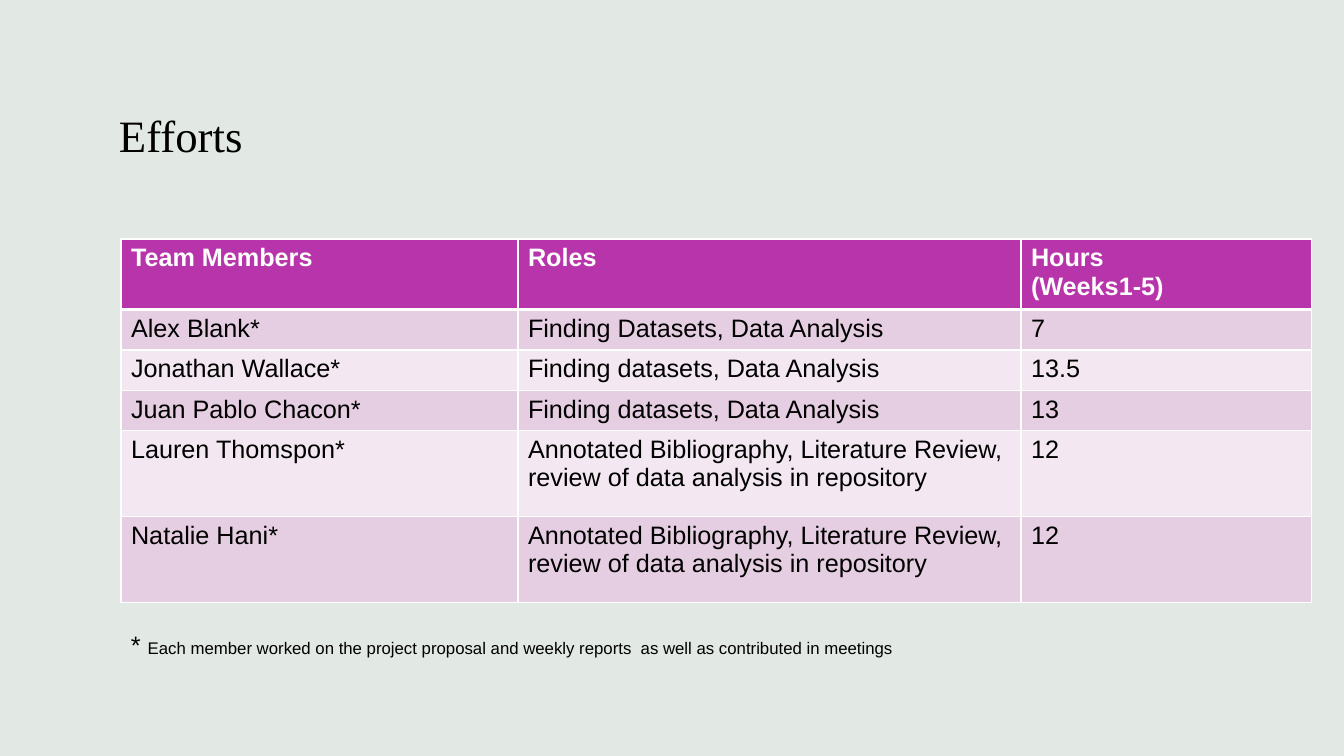
from dataclasses import dataclass

from lxml.etree import SubElement
from pptx import Presentation
from pptx.dml.color import RGBColor
from pptx.enum.text import MSO_ANCHOR as Anchor
from pptx.oxml.ns import qn
from pptx.util import Emu, Pt

PX = 9071.43
BLACK, WHITE = "000000", "FFFFFF"
HEADER_FILL, BANDS = "B834AA", ("E6CEE2", "F3E8F1")


@dataclass
class Run:
    text: str
    size: int = 18
    font: str = "Arial"
    color: str = BLACK
    bold: bool = False


@dataclass
class TextBox:
    left: int
    top: int
    width: int
    height: int
    runs: list[Run]
    anchor: Anchor = Anchor.TOP


@dataclass
class Row:
    height: int
    cells: tuple[str, str, str]


def px(n: int) -> Emu:
    return Emu(round(n * PX))


def rgb(color: str) -> RGBColor:
    return RGBColor.from_string(color)


def add_run(p, run: Run) -> None:
    r = p.add_run()
    r.text = run.text
    r.font.size = Pt(run.size)
    r.font.name = run.font
    r.font.bold = run.bold
    r.font.color.rgb = rgb(run.color)


def add_text(s, box: TextBox) -> None:
    sp = s.shapes.add_textbox(px(box.left), px(box.top), px(box.width), px(box.height))
    tf = sp.text_frame
    tf.word_wrap = True
    tf.vertical_anchor = box.anchor
    for run in box.runs:
        add_run(tf.paragraphs[0], run)


def add_borders(cell, top: int, bottom: int) -> None:
    tc_pr = cell._tc.get_or_add_tcPr()
    for side, width in (("L", 1), ("R", 1), ("T", top), ("B", bottom)):
        ln = SubElement(tc_pr, qn(f"a:ln{side}"), w=str(Pt(width)))
        fill = SubElement(ln, qn("a:solidFill"))
        SubElement(fill, qn("a:srgbClr"), val=WHITE)


def add_cell(cell, text: str, row: int) -> None:
    header = row == 0
    add_borders(cell, 3 if row == 1 else 1, 3 if header else 1)
    cell.fill.solid()
    cell.fill.fore_color.rgb = rgb(HEADER_FILL if header else BANDS[(row - 1) % 2])
    tf = cell.text_frame
    for i, line in enumerate(text.split("\n")):
        p = tf.add_paragraph() if i else tf.paragraphs[0]
        add_run(p, Run(line, color=WHITE if header else BLACK, bold=header))


def add_efforts(s, left: int, top: int, widths: list[int], rows: list[Row]) -> None:
    height = sum(row.height for row in rows)
    frame = s.shapes.add_table(
        len(rows), len(widths), px(left), px(top), px(sum(widths)), px(height)
    )
    table = frame.table
    for column, width in zip(table.columns, widths):
        column.width = px(width)
    for i, row in enumerate(rows):
        table.rows[i].height = px(row.height)
        for j, text in enumerate(row.cells):
            add_cell(table.cell(i, j), text, i)


ANALYSIS = "Finding datasets, Data Analysis"
REVIEW = "Annotated Bibliography, Literature Review, review of data analysis in repository"
ROWS = [
    Row(67, ("Team Members", "Roles", "Hours\n(Weeks1-5)")),
    Row(38, ("Alex Blank*", "Finding Datasets, Data Analysis", "7")),
    Row(38, ("Jonathan Wallace*", ANALYSIS, "13.5")),
    Row(38, ("Juan Pablo Chacon*", ANALYSIS, "13")),
    Row(86, ("Lauren Thomspon*", REVIEW, "12")),
    Row(86, ("Natalie Hani*", REVIEW, "12")),
]
TITLE = TextBox(
    109, 43, 1126, 123, [Run("Efforts", 32, "Times New Roman")], Anchor.BOTTOM
)
FOOTNOTE = TextBox(121, 624, 1175, 40, [
    Run("* "),
    Run("Each member worked on the project proposal and weekly reports "
        "\u00a0as well as contributed in meetings", 12),
])

prs = Presentation()
prs.slide_width, prs.slide_height = px(1344), px(756)
s = prs.slides.add_slide(prs.slide_layouts[6])
s.background.fill.solid()
s.background.fill.fore_color.rgb = rgb("E2E8E3")
add_text(s, TITLE)
add_efforts(s, 121, 239, [397, 503, 291], ROWS)
add_text(s, FOOTNOTE)
prs.save("out.pptx")
